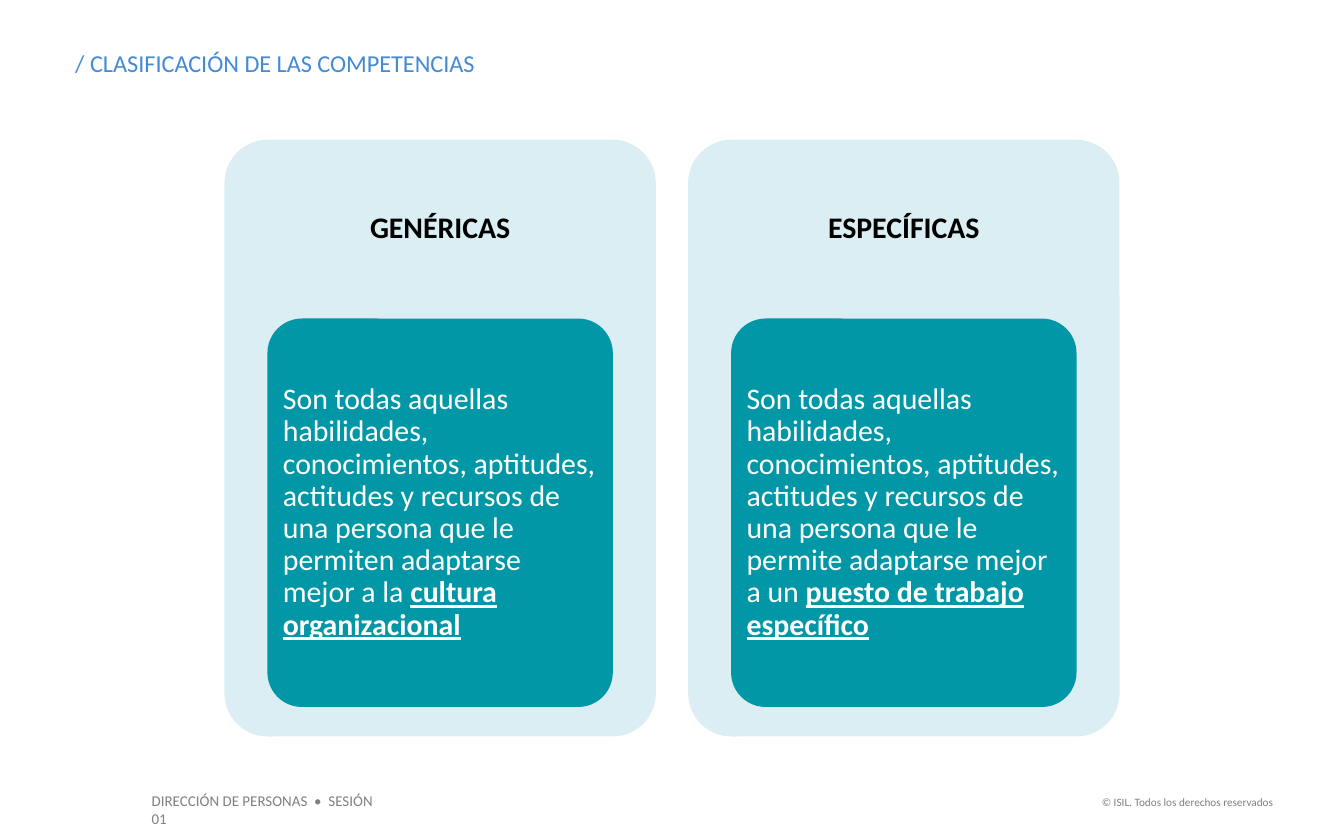
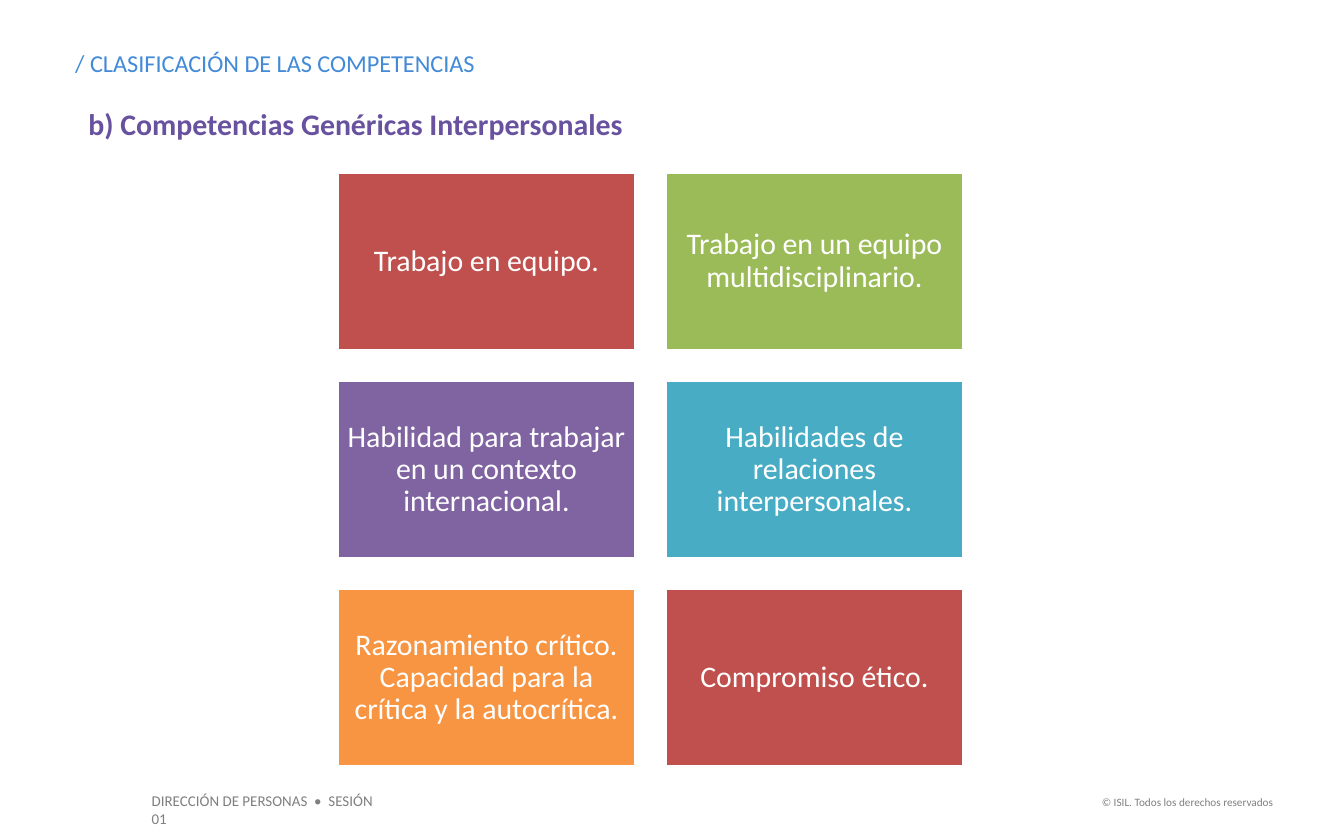
import pptx
import pptx.dml.color
import pptx.enum.shapes
import pptx.enum.text
import pptx.util

Inches = pptx.util.Inches
Pt = pptx.util.Pt
RGB = pptx.dml.color.RGBColor
SHAPE = pptx.enum.shapes.MSO_SHAPE
ALIGN = pptx.enum.text.PP_ALIGN
ANCHOR = pptx.enum.text.MSO_ANCHOR

WHITE = RGB(0xFF, 0xFF, 0xFF)
BLACK = RGB(0x00, 0x00, 0x00)
GRAY = RGB(0x7F, 0x7F, 0x7F)
BLUE = RGB(0x43, 0x8A, 0xD7)
INDIGO = RGB(0x68, 0x52, 0x9F)
PALE = RGB(0xDA, 0xEE, 0xF3)
TEAL = RGB(0x01, 0x97, 0xA7)
RED = RGB(0xBF, 0x50, 0x4D)
GREEN = RGB(0x9B, 0xBB, 0x59)
PURPLE = RGB(0x80, 0x64, 0xA2)
AQUA = RGB(0x49, 0xAC, 0xC5)
ORANGE = RGB(0xF7, 0x95, 0x43)

FONT = "Calibri"
TITLE = "/ CLASIFICACIÓN DE LAS COMPETENCIAS"
COURSE = "DIRECCIÓN DE PERSONAS  •  SESIÓN 01"
RIGHTS = "© ISIL. Todos los derechos reservados"

CARDS = [
    ("GENÉRICAS",
     "Son todas aquellas habilidades, conocimientos, aptitudes, actitudes y "
     "recursos de una persona que le permiten adaptarse mejor a la ",
     "cultura organizacional"),
    ("ESPECÍFICAS",
     "Son todas aquellas habilidades, conocimientos, aptitudes, actitudes y "
     "recursos de una persona que le permite adaptarse mejor a un ",
     "puesto de trabajo específico"),
]
SKILLS = [
    ("Trabajo en equipo.", RED),
    ("Trabajo en un equipo multidisciplinario.", GREEN),
    ("Habilidad para trabajar en un contexto internacional.", PURPLE),
    ("Habilidades de relaciones interpersonales.", AQUA),
    ("Razonamiento crítico. Capacidad para la crítica y la autocrítica.", ORANGE),
    ("Compromiso ético.", RED),
]


def write(shape, runs, size, color, align=ALIGN.LEFT, anchor=ANCHOR.TOP,
          inset=(0.1, 0.05), spacing=None):
    """Fill a shape with one paragraph of (text, bold, underline) runs."""
    frame = shape.text_frame
    frame.word_wrap = True
    frame.auto_size = pptx.enum.text.MSO_AUTO_SIZE.NONE
    frame.vertical_anchor = anchor
    frame.margin_left = frame.margin_right = Inches(inset[0])
    frame.margin_top = frame.margin_bottom = Inches(inset[1])
    para = frame.paragraphs[0]
    para.alignment = align
    para.line_spacing = spacing
    for text, bold, under in runs:
        run = para.add_run()
        run.text = text
        font = run.font
        font.name = FONT
        font.size = Pt(size)
        font.bold = bold
        font.underline = under
        font.color.rgb = color


def label(slide, box, text, size, color, bold=False, **style):
    shape = slide.shapes.add_textbox(*map(Inches, box))
    write(shape, [(text, bold, False)], size, color, **style)


def block(slide, kind, box, fill, line=None):
    shape = slide.shapes.add_shape(kind, *map(Inches, box))
    shape.shadow.inherit = False
    shape.fill.solid()
    shape.fill.fore_color.rgb = fill
    if line is None:
        shape.line.fill.background()
    else:
        shape.line.color.rgb = line
        shape.line.width = Pt(2)
    if kind == SHAPE.ROUNDED_RECTANGLE:
        shape.adjustments[0] = 0.1
    return shape


def start(deck):
    """Add a slide with the shared title and footers."""
    slide = deck.slides.add_slide(deck.slide_layouts[5])
    title = slide.shapes.title
    title.left, title.top = Inches(0.56), Inches(0.36)
    title.width, title.height = Inches(4.28), Inches(0.22)
    write(title, [(TITLE, False, False)], 13, BLUE, inset=(0, 0))
    label(slide, (1.03, 5.84, 1.98, 0.24), COURSE, 8, GRAY)
    label(slide, (8.05, 5.87, 1.52, 0.2), RIGHTS, 6, GRAY, align=ALIGN.RIGHT)
    return slide


def card(slide, left, head, body, key):
    """Draw a pale card with a heading and a teal panel in it."""
    top, width, head_high = 1.04, 3.21, 1.33
    rounded = SHAPE.ROUNDED_RECTANGLE
    block(slide, rounded, (left, top, width, 4.44), PALE)
    label(slide, (left, top, width, head_high), head, 16, BLACK, bold=True,
          align=ALIGN.CENTER, anchor=ANCHOR.MIDDLE, inset=(0.07, 0.07),
          spacing=0.9)
    panel = block(slide, rounded,
                  (left + 0.32, top + head_high, 2.57, 2.89), TEAL)
    write(panel, [(body, False, False), (key, True, True)], 16, WHITE,
          anchor=ANCHOR.MIDDLE, inset=(0.04, 0.03), spacing=0.9)


def grid(slide):
    """Lay out the skills in two columns with equal gaps."""
    left, top, width, height, gap = 2.51, 1.28, 2.22, 1.33, 0.22
    for i, (text, fill) in enumerate(SKILLS):
        row, col = divmod(i, 2)
        box = (left + col * (width + gap), top + row * (height + gap),
               width, height)
        tile = block(slide, SHAPE.RECTANGLE, box, fill, WHITE)
        write(tile, [(text, False, False)], 16, WHITE, align=ALIGN.CENTER,
              anchor=ANCHOR.MIDDLE, inset=(0.07, 0.07), spacing=0.9)


def main():
    deck = pptx.Presentation()
    deck.slide_width, deck.slide_height = Inches(10), Inches(6.25)

    slide = start(deck)
    for i, texts in enumerate(CARDS):
        card(slide, 1.67 + i * 3.45, *texts)

    slide = start(deck)
    label(slide, (0.56, 0.74, 8.88, 0.37),
          "b) Competencias Genéricas Interpersonales", 16, INDIGO, bold=True)
    grid(slide)

    deck.save("out.pptx")


if __name__ == "__main__":
    main()
